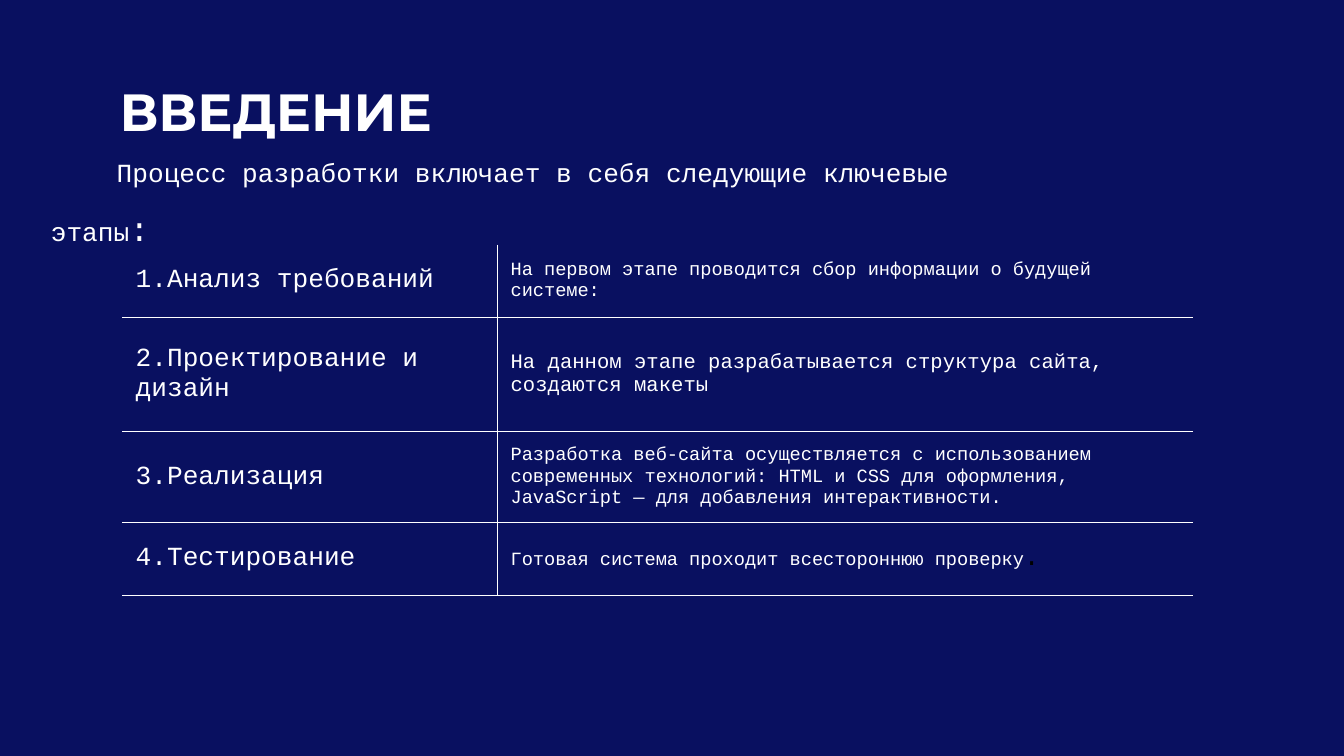
from dataclasses import dataclass

from lxml import etree
from pptx import Presentation
from pptx import util as u
from pptx.dml.color import RGBColor
from pptx.enum import text
from pptx.oxml import ns


@dataclass(frozen=True)
class Theme:
    background: RGBColor = RGBColor(0x09, 0x10, 0x60)
    light: RGBColor = RGBColor(0xFF, 0xFF, 0xFF)
    dark: RGBColor = RGBColor(0, 0, 0)
    title_font: str = "Montserrat"
    body_font: str = "Courier New"
    title_size: int = 28
    colon_size: int = 18
    body_size: int = 14
    border_width: float = 0.75


@dataclass(frozen=True)
class Stage:
    name: str
    description: str
    size: int
    height: float
    ending: str = ""


THEME = Theme()
SLIDE_WIDTH = 10
SLIDE_HEIGHT = SLIDE_WIDTH * 9 / 16
COLUMN_WIDTHS = (2.79, 5.18)
STAGES = (
    Stage("1.Анализ требований",
          "На первом этапе проводится сбор информации о будущей системе:", 10, 0.54),
    Stage("2.Проектирование и дизайн",
          "На данном этапе разрабатывается структура сайта, создаются макеты", 11, 0.85),
    Stage("3.Реализация",
          "Разработка веб-сайта осуществляется с использованием современных технологий: "
          "HTML и CSS для оформления, JavaScript — для добавления интерактивности.", 10, 0.68),
    Stage("4.Тестирование",
          "Готовая система проходит всестороннюю проверку", 10, 0.54, "."),
)


def style_font(font, size: int, name: str = THEME.body_font,
               color: RGBColor = THEME.light) -> None:
    font.name = name
    font.size = u.Pt(size)
    font.color.rgb = color


def set_margins(frame, margin: float = 0.1) -> None:
    frame.margin_left = frame.margin_right = u.Inches(margin)
    frame.margin_top = frame.margin_bottom = u.Inches(margin)


def set_borders(cell, visible: set[str]) -> None:
    """Draw the named sides (L, R, T, B) and switch the others off."""
    properties = cell._tc.get_or_add_tcPr()
    for side in "LRTB":
        line = etree.SubElement(properties, ns.qn(f"a:ln{side}"),
                                w=str(u.Pt(THEME.border_width)))
        if side in visible:
            fill = etree.SubElement(line, ns.qn("a:solidFill"))
            etree.SubElement(fill, ns.qn("a:srgbClr"), val=str(THEME.light))
        else:
            etree.SubElement(line, ns.qn("a:noFill"))


def add_title(slide, wording: str) -> None:
    title = slide.shapes.title
    title.left, title.top = u.Inches(0.79), u.Inches(0.49)
    title.width, title.height = u.Inches(8.43), u.Inches(0.63)
    frame = title.text_frame
    frame.text = wording
    frame.auto_size = text.MSO_AUTO_SIZE.NONE
    frame.vertical_anchor = text.MSO_ANCHOR.TOP
    set_margins(frame)
    paragraph = frame.paragraphs[0]
    paragraph.alignment = text.PP_ALIGN.LEFT
    style_font(paragraph.font, THEME.title_size, THEME.title_font)
    paragraph.font.bold = True


def add_lead(slide, wording: str, ending: str) -> None:
    box = slide.shapes.add_textbox(u.Inches(0.28), u.Inches(0.95),
                                   u.Inches(7.65), u.Inches(0.5))
    frame = box.text_frame
    frame.word_wrap = True
    set_margins(frame)
    paragraph = frame.paragraphs[0]
    paragraph.line_spacing = 1.5
    paragraph._p.get_or_add_pPr().set("indent", str(u.Inches(0.49)))
    for words, size in ((wording, THEME.body_size), (ending, THEME.colon_size)):
        run = paragraph.add_run()
        run.text = words
        style_font(run.font, size)


def fill_stage(cells, stage: Stage) -> None:
    name, description = (cell.text_frame.paragraphs[0] for cell in cells)
    name.text = stage.name
    style_font(name.font, THEME.body_size)
    description.space_after = u.Pt(16)
    description.text = stage.description
    style_font(description.font, stage.size)
    if stage.ending:
        run = description.add_run()
        run.text = stage.ending
        style_font(run.font, THEME.body_size, color=THEME.dark)


def add_stage_table(slide) -> None:
    table = slide.shapes.add_table(
        len(STAGES), len(COLUMN_WIDTHS), u.Inches(0.91), u.Inches(1.82),
        u.Inches(sum(COLUMN_WIDTHS)), u.Inches(sum(stage.height for stage in STAGES))).table
    table.first_row = table.horz_banding = False
    for column, width in zip(table.columns, COLUMN_WIDTHS):
        column.width = u.Inches(width)
    for index, (row, stage) in enumerate(zip(table.rows, STAGES)):
        row.height = u.Inches(stage.height)
        for cell, inner_side in zip(row.cells, "RL"):
            set_borders(cell, {inner_side, "B"} | ({"T"} if index else set()))
            cell.fill.background()
            cell.vertical_anchor = text.MSO_ANCHOR.MIDDLE
            cell.margin_left = cell.margin_right = u.Inches(0.1)
            cell.margin_top = cell.margin_bottom = 0
        fill_stage(row.cells, stage)


def main() -> None:
    presentation = Presentation()
    presentation.slide_width = u.Inches(SLIDE_WIDTH)
    presentation.slide_height = u.Inches(SLIDE_HEIGHT)
    slide = presentation.slides.add_slide(presentation.slide_layouts.get_by_name("Title Only"))
    slide.background.fill.solid()
    slide.background.fill.fore_color.rgb = THEME.background
    add_stage_table(slide)
    add_lead(slide, "Процесс разработки включает в себя следующие ключевые этапы", ":")
    add_title(slide, "ВВЕДЕНИЕ")
    presentation.save("out.pptx")


if __name__ == "__main__":
    main()
